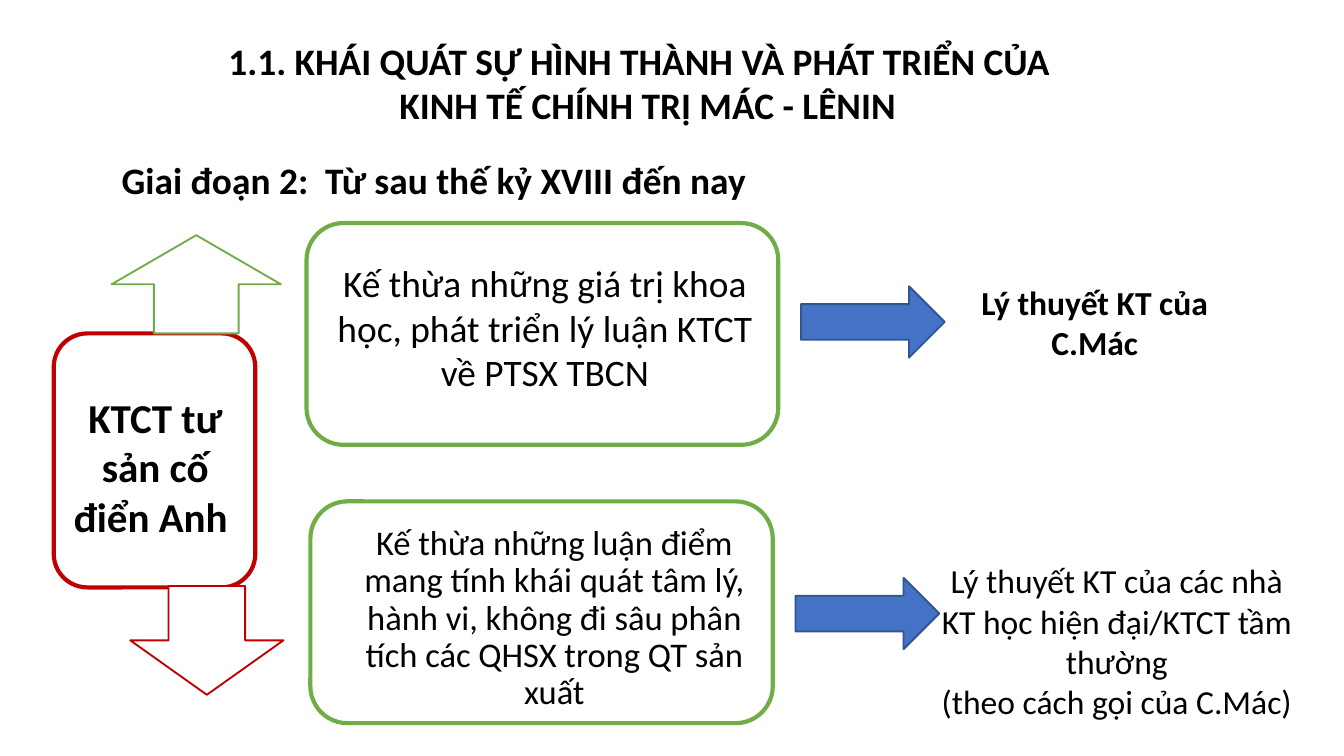
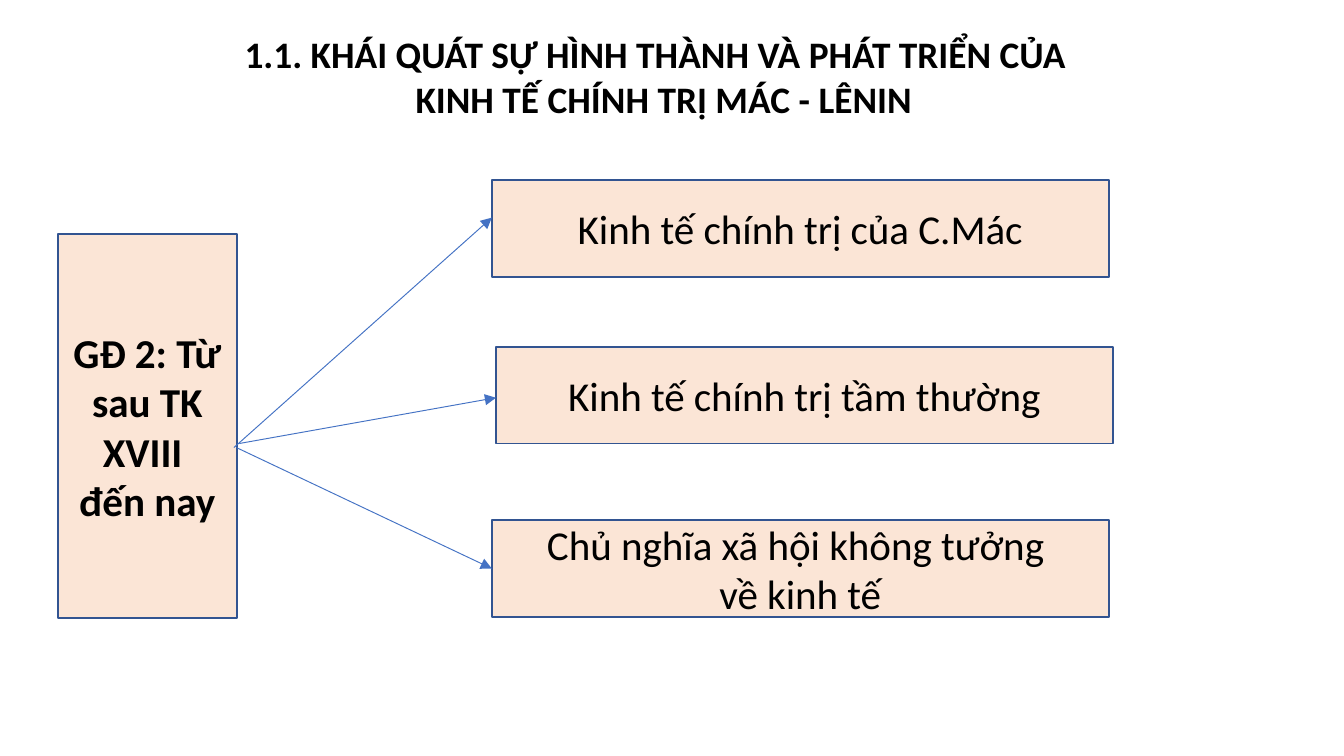
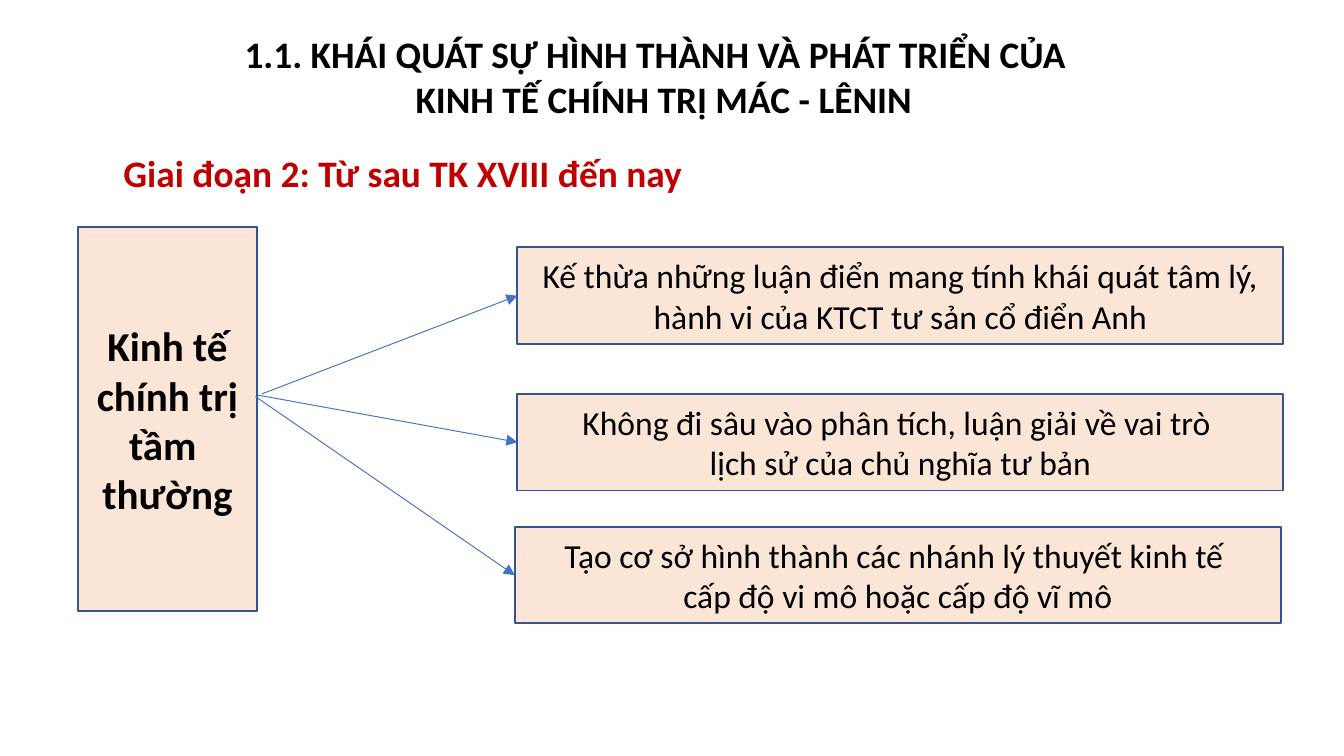
"""Build three slides on the formation of Marxist-Leninist political economy."""
from dataclasses import dataclass

from lxml import etree
from pptx import Presentation
from pptx.dml.color import RGBColor
from pptx.enum.shapes import MSO_CONNECTOR, MSO_SHAPE
from pptx.enum.text import MSO_ANCHOR, MSO_AUTO_SIZE, PP_ALIGN
from pptx.oxml.ns import qn
from pptx.util import Pt

LEFT, CENTER = PP_ALIGN.LEFT, PP_ALIGN.CENTER
TOP, MIDDLE = MSO_ANCHOR.TOP, MSO_ANCHOR.MIDDLE
NO_AUTOFIT = MSO_AUTO_SIZE.NONE
RECTANGLE, ROUNDED = MSO_SHAPE.RECTANGLE, MSO_SHAPE.ROUNDED_RECTANGLE
DOWN_ARROW, RIGHT_ARROW = MSO_SHAPE.DOWN_ARROW, MSO_SHAPE.RIGHT_ARROW
STRAIGHT = MSO_CONNECTOR.STRAIGHT


@dataclass(frozen=True)
class Theme:
    font: str = "Calibri"
    black: str = "000000"
    white: str = "FFFFFF"
    red: str = "C00000"
    green: str = "70AD47"
    blue: str = "4472C4"
    navy: str = "325491"
    peach: str = "FBE5D6"
    heading: float = 20
    source: float = 22
    body: float = 18
    dense: float = 18.5
    thick: float = 2.25
    thin: float = 1
    hairline: float = 0.5


theme = Theme()
TITLE = "1.1. KHÁI QUÁT SỰ HÌNH THÀNH VÀ PHÁT TRIỂN CỦA  \nKINH TẾ CHÍNH TRỊ MÁC - LÊNIN"


def write(box, text, size=theme.body, color=theme.black, bold=False,
          align=CENTER, anchor=MIDDLE, spacing=1.0):
    frame = box.text_frame
    frame.word_wrap = True
    frame.auto_size = NO_AUTOFIT
    frame.vertical_anchor = anchor
    frame.margin_left = frame.margin_right = Pt(7.2)
    frame.margin_top = frame.margin_bottom = Pt(3.6)
    frame.text = text
    for para in frame.paragraphs:
        para.alignment = align
        para.line_spacing = spacing
        para.space_before = para.space_after = Pt(0)
        for span in para.runs:
            span.font.name = theme.font
            span.font.size = Pt(size)
            span.font.bold = bold
            span.font.color.rgb = RGBColor.from_string(color)


def draw(page, kind, place, fill=theme.white, line=theme.navy, width=theme.thin):
    shape = page.shapes.add_shape(kind, *map(Pt, place))
    shape.shadow.inherit = False
    shape.fill.solid()
    shape.fill.fore_color.rgb = RGBColor.from_string(fill)
    shape.line.color.rgb = RGBColor.from_string(line)
    shape.line.width = Pt(width)
    return shape


deck = Presentation()
deck.slide_width, deck.slide_height = Pt(720), Pt(405)
title_only = deck.slide_layouts[5]

pages = []
for left, top in [(70.6, 10), (79.2, 6.5), (79.2, 6.5)]:
    page = deck.slides.add_slide(title_only)
    title = page.shapes.title
    title.left, title.top, title.width, title.height = map(Pt, (left, top, 553, 68.4))
    write(title, TITLE, size=theme.heading, bold=True)
    pages.append(page)
heritage, branches, vulgar = pages

for kind, place, fill, line, width in [
    (ROUNDED, (166.3, 268.6, 247.7, 118.8), theme.white, theme.green, theme.thick),
    (ROUNDED, (28.8, 178.6, 108, 136.1), theme.white, theme.red, theme.thick),
    (DOWN_ARROW, (69.8, 313.9, 82.1, 58.3), theme.white, theme.red, theme.thin),
    (RIGHT_ARROW, (429.1, 153.4, 77, 38.2), theme.blue, theme.navy, theme.thin),
    (RIGHT_ARROW, (426.2, 309.6, 77, 38.2), theme.blue, theme.navy, theme.thin),
    (ROUNDED, (164.2, 119.5, 252.7, 118.8), theme.white, theme.green, theme.thick),
]:
    draw(heritage, kind, place, fill, line, width)
up_arrow = draw(heritage, DOWN_ARROW, (59.8, 126, 90.7, 52.6), line=theme.green)
up_arrow.rotation = 180

for page, place, text, style in [
    (heritage, (0, 73.4, 465.1, 45.4), "Giai đoạn 2:  Từ sau thế kỷ XVIII đến nay",
     dict(size=theme.heading, bold=True)),
    (heritage, (31.7, 185.8, 103, 128.2), "KTCT tư sản cố điển Anh ",
     dict(size=theme.source, bold=True)),
    (heritage, (172.1, 119.5, 239.8, 111.6),
     "Kế thừa những giá trị khoa học, phát triển lý luận KTCT về PTSX TBCN",
     dict(size=theme.heading)),
    (heritage, (179.3, 275.8, 235.4, 111.6),
     "Kế thừa những luận điểm mang tính khái quát tâm lý, hành vi, "
     "không đi sâu phân tích các QHSX trong QT sản xuất",
     dict(size=theme.dense, spacing=0.9)),
    (heritage, (496.1, 140.4, 180.7, 64.1), "Lý thuyết KT của C.Mác", dict(bold=True)),
    (heritage, (496.1, 299.5, 204.5, 87.8),
     "Lý thuyết KT của các nhà KT học hiện đại/KTCT tầm thường\n"
     "(theo cách gọi của C.Mác) ", {}),
    (vulgar, (59, 77, 435.6, 31.7), "Giai đoạn 2: Từ sau TK XVIII đến nay",
     dict(size=theme.heading, color=theme.red, bold=True, align=LEFT, anchor=TOP)),
]:
    write(page.shapes.add_textbox(*map(Pt, place)), text, **style)

diagrams = [
    (branches, (31, 125.3), "GĐ 2: Từ sau TK XVIII \nđến nay", 330.5, theme.source, [
        ((263.5, 96.5), (125.3, 239.8), 116.6, "Kinh tế chính trị của C.Mác"),
        ((265.7, 185.8), (128.2, 237.6), 213.1, "Kinh tế chính trị tầm thường"),
        ((263.5, 278.6), (126.7, 239.8), 304.6,
         "Chủ nghĩa xã hội không tưởng \nvề kinh tế"),
    ]),
    (vulgar, (41.8, 121.7), "Kinh tế chính trị tầm \nthường", 410.4, theme.body, [
        ((277.2, 132.5), (140.4, 211), 158.4,
         "Kế thừa những luận điển mang tính khái quát tâm lý, "
         "hành vi của KTCT tư sản cổ điển Anh"),
        ((277.2, 211), (138.2, 211.7), 236.9,
         "Không đi sâu vào phân tích, luận giải về vai trò \n"
         "lịch sử của chủ nghĩa tư bản"),
        ((275.8, 282.2), (136.8, 212.4), 308.2,
         "Tạo cơ sở hình thành các nhánh lý thuyết kinh tế \n"
         "cấp độ vi mô hoặc cấp độ vĩ mô"),
    ]),
]
for page, corner, source_text, target_width, target_size, targets in diagrams:
    source = draw(page, RECTANGLE, (*corner, 95.8, 205.9), theme.peach)
    write(source, source_text, size=theme.source, bold=True)
    for (left, top), start, tip, text in targets:
        target = draw(page, RECTANGLE, (left, top, target_width, 51.8), theme.peach)
        write(target, text, size=target_size)
        arrow = page.shapes.add_connector(STRAIGHT, *map(Pt, (*start, left, tip)))
        arrow.line.color.rgb = RGBColor.from_string(theme.blue)
        arrow.line.width = Pt(theme.hairline)
        etree.SubElement(arrow.line._get_or_add_ln(), qn("a:tailEnd"), type="triangle")
        etree.SubElement(arrow._element.spPr, qn("a:effectLst"))

deck.save("out.pptx")
